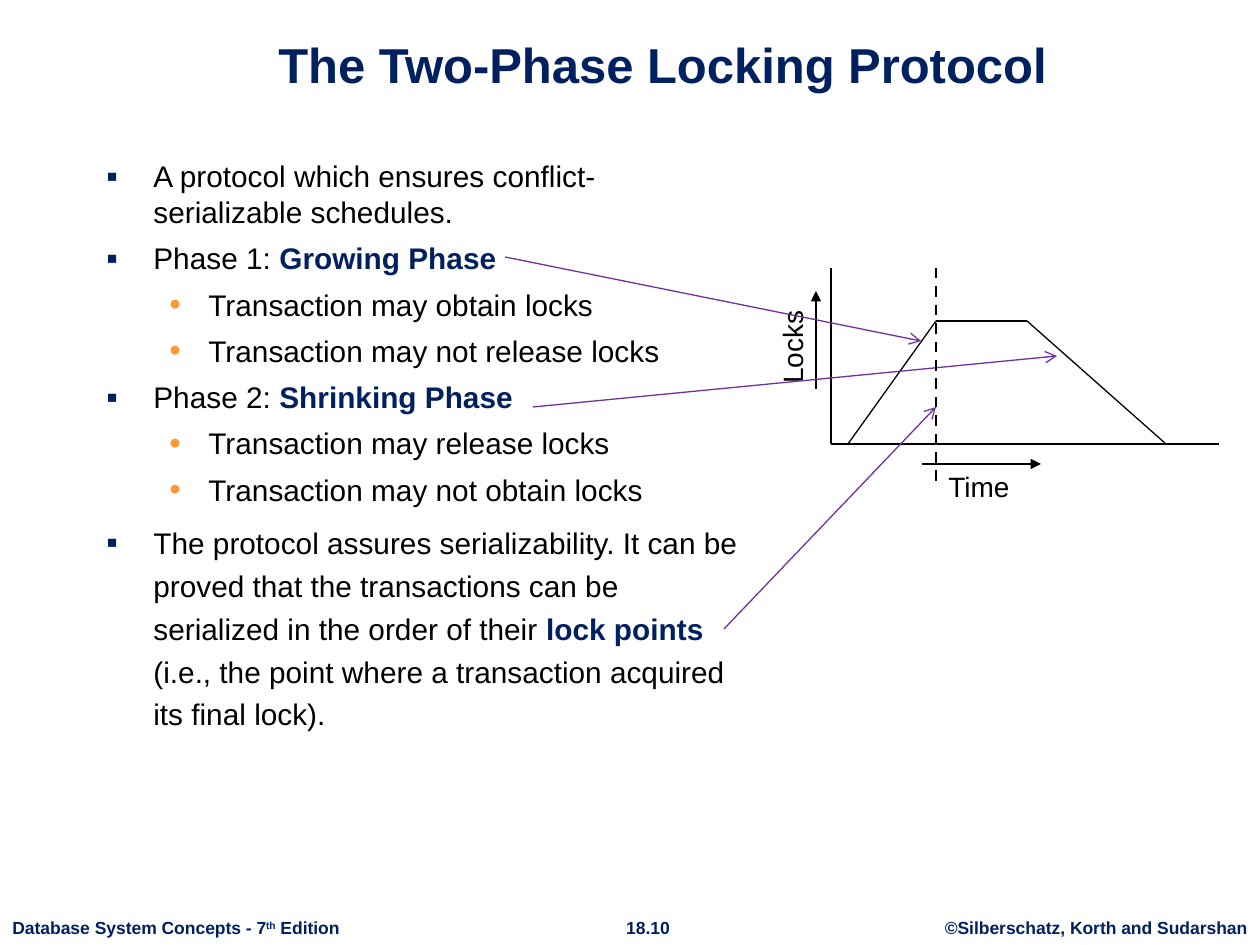
from dataclasses import dataclass
from typing import Optional

from lxml.etree import SubElement
from pptx import Presentation
from pptx.dml.color import RGBColor
from pptx.enum.dml import MSO_LINE
from pptx.enum.shapes import MSO_CONNECTOR
from pptx.enum.text import MSO_ANCHOR, PP_ALIGN
from pptx.oxml.ns import qn
from pptx.util import Emu, Pt

NAVY = RGBColor(0x00, 0x20, 0x60)
BLACK = RGBColor(0x00, 0x00, 0x00)
ORANGE = RGBColor(0xFF, 0x99, 0x33)
PURPLE = RGBColor(0x70, 0x30, 0xA0)
FONT = "Arial"
PIXELS_PER_INCH = 126


@dataclass(frozen=True)
class Level:
    symbol: str
    color: RGBColor
    margin: int
    hanging: int


@dataclass(frozen=True)
class Bullet:
    level: Level
    text: str
    term: str = ""
    rest: str = ""
    spacing: float = 1.0


@dataclass(frozen=True)
class Label:
    text: str
    left: int
    top: int
    width: int
    height: int
    size: int
    color: RGBColor = BLACK
    bold: bool = False
    align: PP_ALIGN = PP_ALIGN.LEFT
    wrap: bool = True
    rotation: int = 0
    superscript: str = ""
    ending: str = ""


@dataclass(frozen=True)
class Stroke:
    start: tuple[int, int]
    end: tuple[int, int]
    color: RGBColor = BLACK
    width: float = 0.75
    head: Optional[str] = None
    dashed: bool = False


MAIN = Level("▪", NAVY, 47, 47)
SUB = Level("•", ORANGE, 102, 39)

BULLETS = [
    Bullet(MAIN, "A protocol which ensures conflict-serializable schedules."),
    Bullet(MAIN, "Phase 1: ", "Growing Phase"),
    Bullet(SUB, "Transaction may obtain locks"),
    Bullet(SUB, "Transaction may not release locks"),
    Bullet(MAIN, "Phase 2: ", "Shrinking Phase"),
    Bullet(SUB, "Transaction may release locks"),
    Bullet(SUB, "Transaction may not obtain locks"),
    Bullet(
        MAIN,
        "The protocol assures serializability. It can be proved that the "
        "transactions can be serialized in the order of their ",
        "lock points ",
        "(i.e., the point where a transaction acquired its final lock).",
        1.2,
    ),
]

FOOTERS = [
    Label("©Silberschatz, Korth and Sudarshan", 932, 911, 328, 34, 10, NAVY, True,
          PP_ALIGN.CENTER, False),
    Label("18.10", 612, 911, 72, 34, 10, NAVY, True, PP_ALIGN.CENTER, False),
    Label("Database System Concepts - 7", 0, 911, 354, 34, 10, NAVY, True,
          wrap=False, superscript="th", ending=" Edition"),
]

AXIS_LABELS = [
    Label("Time", 936, 463, 111, 47, 16),
    Label("Locks", 737, 317, 111, 47, 16, rotation=270),
]

LOCK_CURVE = [(848, 444), (936, 321), (1027, 321), (1166, 444)]

STROKES = [
    *(Stroke(start, end) for start, end in zip(LOCK_CURVE, LOCK_CURVE[1:])),
    Stroke((831, 268), (831, 444)),
    Stroke((831, 444), (1219, 444)),
    Stroke((922, 464), (1041, 464), head="triangle"),
    Stroke((816, 389), (816, 291), head="triangle"),
    Stroke((505, 257), (921, 341), PURPLE, head="arrow"),
    Stroke((533, 407), (1057, 356), PURPLE, head="arrow"),
    Stroke((724, 629), (936, 407), PURPLE, head="arrow"),
    Stroke((936, 268), (936, 487), width=1.5, dashed=True),
]


def px(length: int) -> Emu:
    return Emu(round(length * 914400 / PIXELS_PER_INCH))


def place(shape, left: int, top: int, width: int, height: int) -> None:
    shape.left, shape.top = px(left), px(top)
    shape.width, shape.height = px(width), px(height)


def style_font(font, size: int, color: RGBColor, bold: bool = False) -> None:
    font.name = FONT
    font.size = Pt(size)
    font.bold = bold
    font.color.rgb = color


def set_title(slide, text: str) -> None:
    title = slide.shapes.title
    place(title, 106, 15, 1113, 85)
    frame = title.text_frame
    frame.text = text
    frame.vertical_anchor = MSO_ANCHOR.BOTTOM
    para = frame.paragraphs[0]
    para.alignment = PP_ALIGN.CENTER
    style_font(para.font, 28, NAVY, True)


def format_bullet(para, level: Level) -> None:
    properties = para._p.get_or_add_pPr()
    properties.set("marL", str(px(level.margin)))
    properties.set("indent", str(-px(level.hanging)))
    color = SubElement(properties, qn("a:buClr"))
    SubElement(color, qn("a:srgbClr"), val=str(level.color))
    SubElement(properties, qn("a:buSzPct"), val="110000")
    SubElement(properties, qn("a:buFont"), typeface=FONT)
    SubElement(properties, qn("a:buChar"), char=level.symbol)


def add_bullets(slide, bullets: list[Bullet]) -> None:
    box = slide.shapes.add_textbox(px(94), px(152), px(662), px(740))
    frame = box.text_frame
    frame.word_wrap = True
    for index, bullet in enumerate(bullets):
        para = frame.add_paragraph() if index else frame.paragraphs[0]
        para.line_spacing = bullet.spacing
        para.space_before = Pt(6)
        format_bullet(para, bullet.level)
        for text, is_term in ((bullet.text, False), (bullet.term, True), (bullet.rest, False)):
            if text:
                span = para.add_run()
                span.text = text
                style_font(span.font, 17, NAVY if is_term else BLACK, is_term)


def add_label(slide, label: Label) -> None:
    box = slide.shapes.add_textbox(
        px(label.left), px(label.top), px(label.width), px(label.height))
    box.rotation = label.rotation
    box.text_frame.word_wrap = label.wrap
    para = box.text_frame.paragraphs[0]
    para.alignment = label.align
    style_font(para.font, label.size, label.color, label.bold)
    for text in filter(None, (label.text, label.superscript, label.ending)):
        span = para.add_run()
        span.text = text
        if text == label.superscript:
            span._r.get_or_add_rPr().set("baseline", "30000")


def add_stroke(slide, stroke: Stroke) -> None:
    connector = slide.shapes.add_connector(
        MSO_CONNECTOR.STRAIGHT, *map(px, stroke.start + stroke.end))
    line = connector.line
    line.color.rgb = stroke.color
    line.width = Pt(stroke.width)
    if stroke.dashed:
        line.dash_style = MSO_LINE.DASH
    if stroke.head:
        SubElement(line._get_or_add_ln(), qn("a:tailEnd"), type=stroke.head)
    SubElement(connector._element.spPr, qn("a:effectLst"))


def main() -> None:
    deck = Presentation()
    deck.slide_width, deck.slide_height = px(1260), px(945)
    page = deck.slides.add_slide(deck.slide_layouts.get_by_name("Title Only"))
    set_title(page, "The Two-Phase Locking Protocol")
    add_bullets(page, BULLETS)
    for label in FOOTERS + AXIS_LABELS:
        add_label(page, label)
    for stroke in STROKES:
        add_stroke(page, stroke)
    deck.save("out.pptx")


if __name__ == "__main__":
    main()
